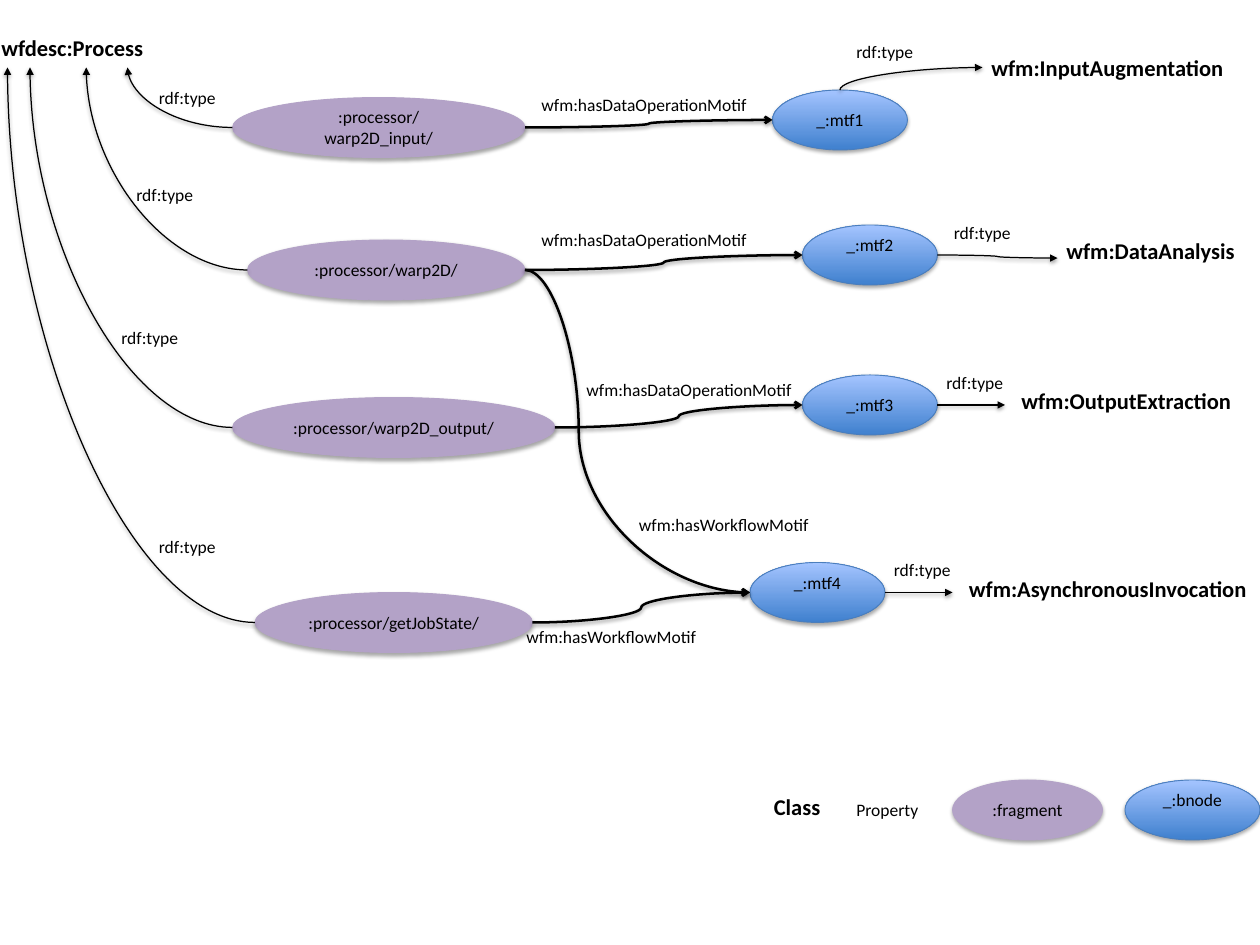
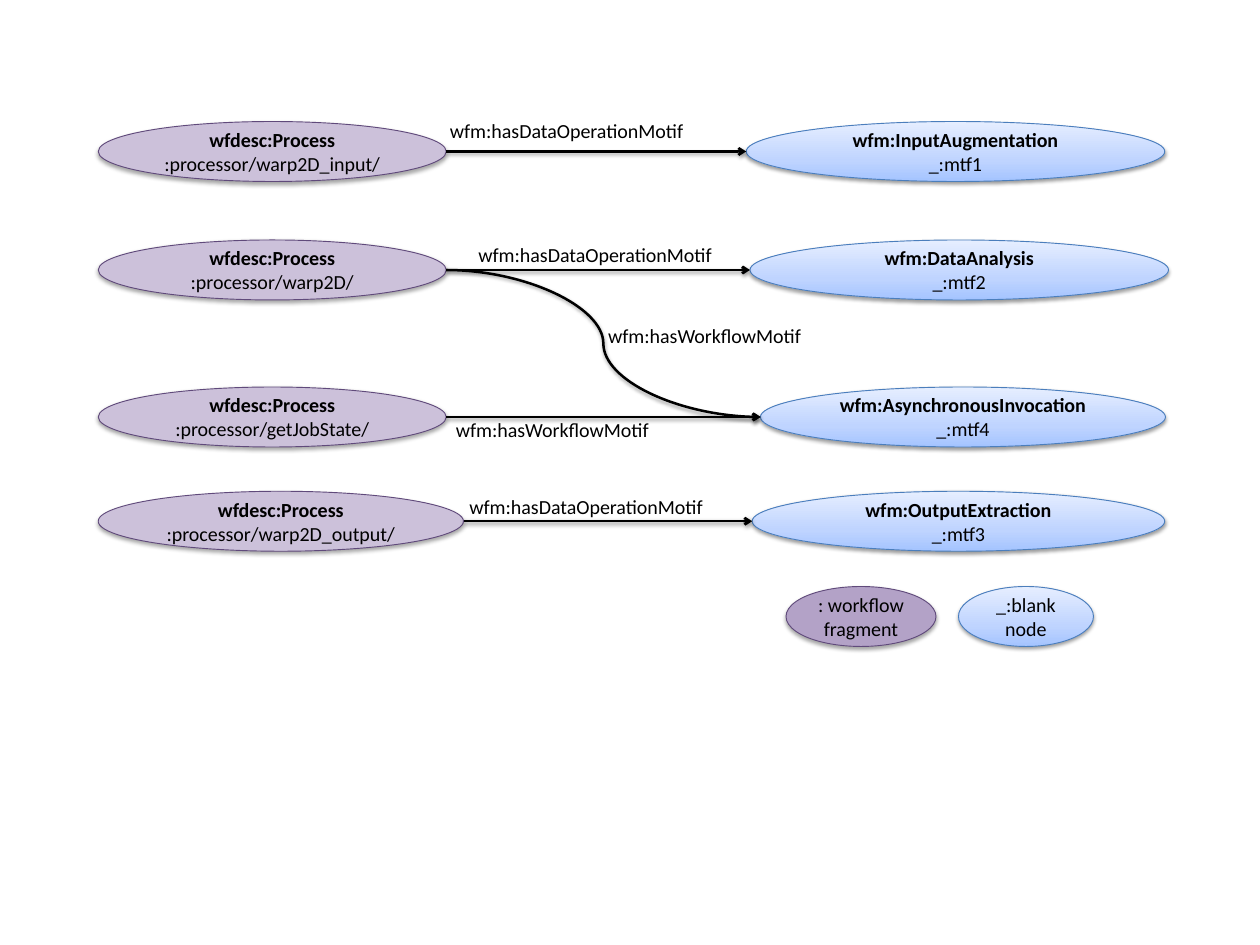
"""Two diagrams that link workflow processes to their motifs."""
from dataclasses import dataclass

from lxml import etree
from pptx import Presentation
from pptx.dml.color import RGBColor
from pptx.enum.shapes import MSO_CONNECTOR, MSO_SHAPE
from pptx.enum.text import MSO_ANCHOR, PP_ALIGN
from pptx.oxml.ns import qn
from pptx.util import Emu, Inches, Pt

ELLIPSE = MSO_SHAPE.OVAL
CURVE, STRAIGHT = MSO_CONNECTOR.CURVE, MSO_CONNECTOR.STRAIGHT
CENTER, LEFT = PP_ALIGN.CENTER, PP_ALIGN.LEFT
MIDDLE = MSO_ANCHOR.MIDDLE

FONT = "Calibri"
COLORS = {
    "ink": "000000", "purple": "B3A2C7", "lilac": "CCC1DA", "plum": "604A7B",
    "blue": "3F80CE", "sky": "A4C4FF", "pale": "BFD4FF", "ice": "E6EEFF",
    "edge": "4B7EBC",
}
# The grid has 168 columns and 126 rows, twelve to the inch.
WIDTH, HEIGHT, PER_INCH = 14, 10.5, 12
NODE_ROWS = 8


@dataclass(frozen=True)
class Style:
    """Look of an ellipse: gradient stops from bottom to top, or one colour."""
    stops: tuple
    line: str
    shadow: tuple = (35, 1.8)


STYLES = {
    "fragment": Style(((0, "purple"),), "purple"),
    "bnode": Style(((0, "blue"), (100, "sky")), "edge"),
    "process": Style(((0, "lilac"),), "plum"),
    "legend": Style(((0, "purple"),), "plum"),
    "motif": Style(((0, "sky"), (35, "pale"), (100, "ice")), "edge", (38, 1.6)),
}


@dataclass(frozen=True)
class Node:
    """An ellipse on the grid, with an optional bold first line."""
    style: str
    col: float
    row: float
    cols: float
    text: str
    head: str = ""
    raised: bool = False

    @property
    def left(self):
        """Left end of the ellipse."""
        return self.col, self.row + NODE_ROWS / 2

    @property
    def right(self):
        """Right end of the ellipse."""
        return self.col + self.cols, self.row + NODE_ROWS / 2

    @property
    def top(self):
        """Top of the ellipse."""
        return self.col + self.cols / 2, self.row


@dataclass(frozen=True)
class Label:
    """Free text on the grid."""
    col: float
    row: float
    text: str
    cols: float = 38
    size: int = 14
    bold: bool = False


@dataclass(frozen=True)
class Link:
    """An arrow; bend is 'S', 'corner', 'rise' (starts upwards) or 'none'."""
    start: tuple
    end: tuple
    bend: str = "S"
    width: float = 2
    arrow: str = "arrow"
    middle: float = 50


def grid(n: float) -> Emu:
    """Length of n grid units."""
    return Inches(n / PER_INCH)


def rgb(name: str) -> RGBColor:
    """Colour by name."""
    return RGBColor.from_string(COLORS[name])


def child(parent, tag: str, **attrs):
    """Append an XML element."""
    return etree.SubElement(parent, qn(tag), {k: str(v) for k, v in attrs.items()})


def add_color(parent, name: str):
    """Append an XML colour."""
    return child(parent, "a:srgbClr", val=COLORS[name])


def add_shadow(effects, alpha: float, distance: float) -> None:
    """Put a soft shadow below an object."""
    shadow = child(effects, "a:outerShdw", blurRad=40000, dist=Pt(distance),
                   dir=5400000, rotWithShape=0)
    child(add_color(shadow, "ink"), "a:alpha", val=alpha * 1000)


def paint(sp, style: Style) -> None:
    """Fill, outline and shade an ellipse."""
    if len(style.stops) == 1:
        sp.fill.solid()
        sp.fill.fore_color.rgb = rgb(style.stops[0][1])
    else:
        sp.fill.gradient()
        gradient = sp._element.spPr.find(qn("a:gradFill"))
        gradient.clear()
        stops = child(gradient, "a:gsLst")
        for share, name in style.stops:
            add_color(child(stops, "a:gs", pos=share * 1000), name)
        child(gradient, "a:lin", ang=16200000, scaled=0)
    sp.line.color.rgb = rgb(style.line)
    sp.line.width = Pt(0.75)
    sp.shadow.inherit = False
    add_shadow(sp._element.spPr.find(qn("a:effectLst")), *style.shadow)


def write(tf, lines: list, size: int, align) -> None:
    """Write (text, bold) lines into one paragraph."""
    tf.word_wrap = True
    p = tf.paragraphs[0]
    p.alignment = align
    for i, (text, bold) in enumerate(lines):
        if i:
            p.add_line_break()
        r = p.add_run()
        r.text = text
        r.font.name, r.font.size, r.font.bold = FONT, Pt(size), bold
        r.font.color.rgb = rgb("ink")


def draw_node(s, node: Node, size: int) -> None:
    """Draw an ellipse with its text."""
    sp = s.shapes.add_shape(ELLIPSE, grid(node.col), grid(node.row),
                            grid(node.cols), grid(NODE_ROWS))
    paint(sp, STYLES[node.style])
    tf = sp.text_frame
    tf.vertical_anchor = MIDDLE
    if node.raised:
        tf.margin_bottom = Inches(0.28)
    lines = [(node.head, True)] if node.head else []
    lines += [(text, False) for text in node.text.split("\n")]
    write(tf, lines, size, CENTER)


def draw_label(s, label: Label) -> None:
    """Draw a text box one line high."""
    sp = s.shapes.add_textbox(grid(label.col), grid(label.row), grid(label.cols),
                              Pt(label.size * 1.2 + 7.2))
    write(sp.text_frame, [(label.text, label.bold)], label.size, LEFT)


def draw_link(s, link: Link) -> None:
    """Draw an arrow from start to end."""
    (x1, y1), (x2, y2) = link.start, link.end
    if link.bend == "rise":  # laid out a quarter turn back, then rotated
        cx, cy, dx, dy = (x1 + x2) / 2, (y1 + y2) / 2, (x2 - x1) / 2, (y2 - y1) / 2
        x1, y1, x2, y2 = cx - dy, cy + dx, cx + dy, cy - dx
    kind = STRAIGHT if link.bend == "none" else CURVE
    sp = s.shapes.add_connector(kind, grid(x1), grid(y1), grid(x2), grid(y2))
    sp.line.color.rgb = rgb("ink")
    sp.line.width = Pt(link.width)
    pr = sp._element.spPr
    geometry = pr.find(qn("a:prstGeom"))
    if link.bend in ("corner", "rise"):
        geometry.set("prst", "curvedConnector2")
    elif link.middle != 50:
        child(geometry.find(qn("a:avLst")), "a:gd", name="adj1",
              fmla=f"val {round(link.middle * 1000)}")
    if link.bend == "rise":
        pr.find(qn("a:xfrm")).set("rot", "5400000")
    child(pr.find(qn("a:ln")), "a:tailEnd", type=link.arrow)
    add_shadow(child(pr, "a:effectLst"), 38, 1.6)


def type_link(start: tuple, end: tuple, bend: str = "S") -> Link:
    """A thin arrow to a class."""
    return Link(start, end, bend, 1, "triangle")


def class_label(col: float, row: float, text: str, cols: float = 37) -> Label:
    """A bold class name."""
    return Label(col, row, text, cols, 18, True)


def draw_slide(prs, nodes: list, links: list, labels: list, size: int) -> None:
    """Add a blank slide with ellipses, arrows and text, back to front."""
    s = prs.slides.add_slide(prs.slide_layouts[6])
    for node in nodes:
        draw_node(s, node, size)
    for link in links:
        draw_link(s, link)
    for label in labels:
        draw_label(s, label)


DATA, WORKFLOW = "wfm:hasDataOperationMotif", "wfm:hasWorkflowMotif"
PROCESS = "wfdesc:Process"
INPUT, WARP, OUTPUT, JOB = (
    f":processor/{name}/"
    for name in ("warp2D_input", "warp2D", "warp2D_output", "getJobState"))


def type_graph(prs) -> None:
    """Slide with every rdf:type drawn as an arrow."""
    warp_in = Node("fragment", 31, 13, 39, INPUT)
    warp = Node("fragment", 33, 32, 37, WARP)
    warp_out = Node("fragment", 31, 53, 43, OUTPUT)
    job = Node("fragment", 34, 79, 37, JOB)
    mtf1 = Node("bnode", 103, 12, 18, "_:mtf1")
    mtf2 = Node("bnode", 107, 30, 18, "_:mtf2", raised=True)
    mtf3 = Node("bnode", 107, 50, 18, "_:mtf3")
    mtf4 = Node("bnode", 100, 75, 18, "_:mtf4", raised=True)
    legend = [Node("fragment", 127, 104, 20, ":fragment"),
              Node("bnode", 150, 104, 18, "_:bnode", raised=True)]
    links = [type_link(node.left, (col, 9), "corner") for node, col in
             ((warp_in, 17), (warp, 11.5), (warp_out, 4), (job, 1))]
    links += [
        type_link(mtf1.top, (131, 9), "rise"),
        type_link(mtf2.right, (141, 34.4)),
        type_link(mtf3.right, (134, 54)),
        type_link(mtf4.right, (127, 79)),
        Link(warp_in.right, mtf1.left), Link(warp.right, mtf2.left),
        Link(warp_out.right, mtf3.left), Link(job.right, mtf4.left),
        Link(warp.right, mtf4.left, middle=23.9),
    ]
    labels = [
        class_label(-1, 4, PROCESS, 25),
        class_label(131, 6.6, "wfm:InputAugmentation"),
        class_label(141, 31, "wfm:DataAnalysis"),
        class_label(135, 51, "wfm:OutputExtraction"),
        class_label(128, 76.1, "wfm:AsynchronousInvocation", 44),
        class_label(102, 105.1, "Class", 25),
        Label(113, 106, "Property", 21),
    ]
    labels += [Label(col, row, "rdf:type", 21) for col, row in
               ((113, 4.9), (126, 29), (125, 49), (118, 74),
                (20, 11), (17, 24), (15, 43), (20, 70.9))]
    labels += [Label(col, row, DATA) for col, row in
               ((71, 12), (71, 30), (77, 49.9))]
    labels += [Label(col, row, WORKFLOW) for col, row in ((84, 68), (69, 82.9))]
    nodes = [warp_in, warp, warp_out, job, mtf1, mtf2, mtf3, mtf4, *legend]
    draw_slide(prs, nodes, links, labels, 14)


def compact_graph(prs) -> None:
    """Slide with the class written inside each ellipse."""
    rows = [  # row, process columns, process, motif column, columns, node, class
        (16.2, 46.4, INPUT, 99.5, 55.8, "_:mtf1", "wfm:InputAugmentation"),
        (32, 46.4, WARP, 100, 55.8, "_:mtf2", "wfm:DataAnalysis"),
        (51.6, 46.4, JOB, 101.4, 54, "_:mtf4", "wfm:AsynchronousInvocation"),
        (65.5, 48.7, OUTPUT, 100.3, 55, "_:mtf3", "wfm:OutputExtraction"),
    ]
    processes = [Node("process", 13.1, row, cols, text, PROCESS)
                 for row, cols, text, *_ in rows]
    motifs = [Node("motif", col, row, cols, text, head)
              for row, _, _, col, cols, text, head in rows]
    legend = [Node("legend", 104.8, 78.2, 20, ": workflow\nfragment"),
              Node("motif", 127.8, 78.2, 18, "_:blank\nnode")]
    links = [Link(process.right, motif.left, "none")
             for process, motif in zip(processes, motifs)]
    links.append(Link(processes[1].right, motifs[2].left))
    labels = [Label(col, row, text, cols, 16) for col, row, text, cols in (
        (58.8, 15.2, DATA, 38), (62.6, 31.7, DATA, 38), (61.4, 65.3, DATA, 38),
        (79.9, 42.5, WORKFLOW, 46), (59.6, 55.1, WORKFLOW, 48))]
    draw_slide(prs, processes + motifs + legend, links, labels, 16)


prs = Presentation()
prs.slide_width, prs.slide_height = Inches(WIDTH), Inches(HEIGHT)
type_graph(prs)
compact_graph(prs)
prs.save("out.pptx")
